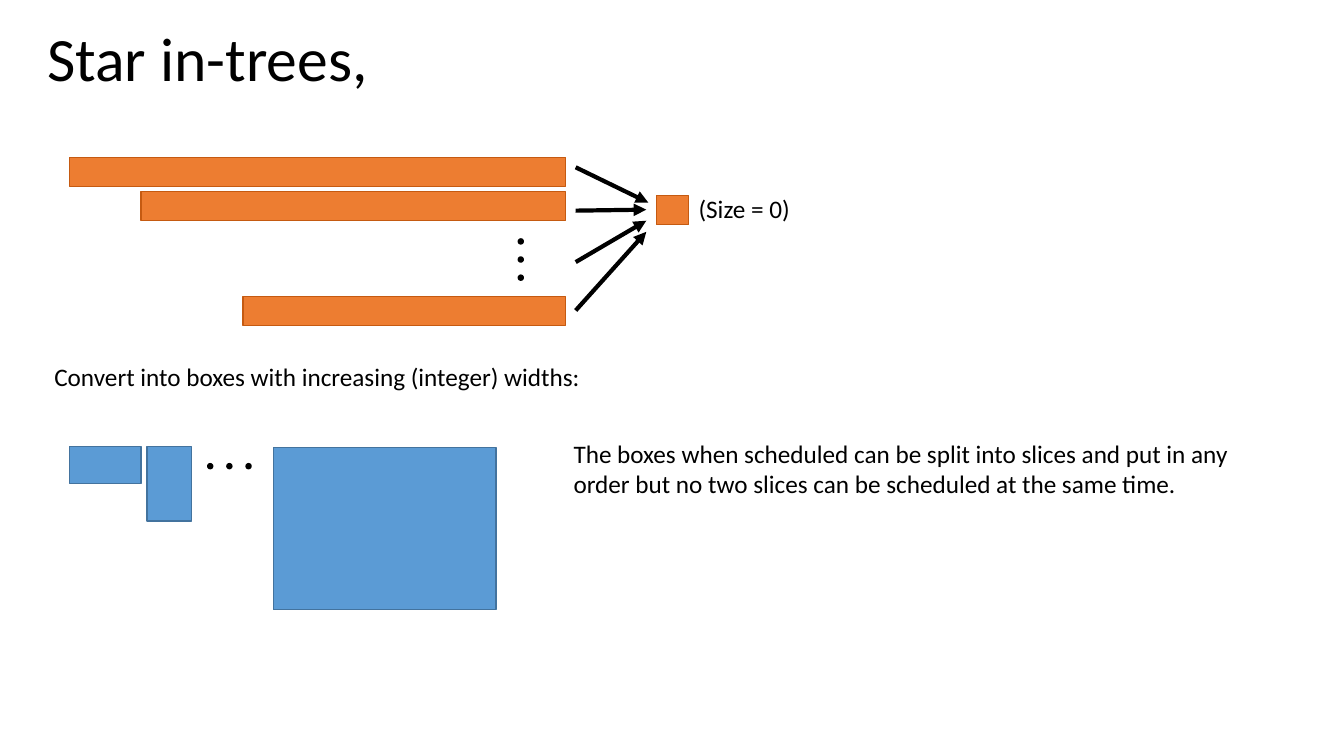
from dataclasses import dataclass

from lxml.etree import SubElement
from pptx import Presentation
from pptx.dml.color import RGBColor
from pptx.enum.shapes import MSO_CONNECTOR, MSO_SHAPE
from pptx.enum.text import MSO_AUTO_SIZE
from pptx.oxml.ns import qn
from pptx.util import Inches, Pt


@dataclass(frozen=True)
class Theme:
    font: str = "Calibri"
    title: int = 44
    body: int = 18
    black: str = "000000"
    orange: tuple = ("ED7D31", "C55A11")
    blue: tuple = ("5B9BD5", "43739E")
    outline: float = 1
    arrow: float = 3


THEME = Theme()
DOT = 0.05


def rgb(value):
    return RGBColor.from_string(value)


def add_block(s, x, y, w, h, colors, kind=MSO_SHAPE.RECTANGLE):
    sp = s.shapes.add_shape(kind, Inches(x), Inches(y), Inches(w), Inches(h))
    fill, line = colors
    sp.shadow.inherit = False
    sp.fill.solid()
    sp.fill.fore_color.rgb = rgb(fill)
    sp.line.color.rgb = rgb(line)
    sp.line.width = Pt(THEME.outline)


def add_dots(s, x, y, dx=0.0, dy=0.0):
    for i in range(3):
        add_block(s, x + i * dx, y + i * dy, DOT, DOT,
                  (THEME.black, THEME.black), MSO_SHAPE.OVAL)


def add_arrow(s, x1, y1, x2, y2):
    cxn = s.shapes.add_connector(MSO_CONNECTOR.STRAIGHT, Inches(x1), Inches(y1),
                                 Inches(x2), Inches(y2))
    cxn.line.color.rgb = rgb(THEME.black)
    cxn.line.width = Pt(THEME.arrow)
    SubElement(cxn.line._get_or_add_ln(), qn("a:tailEnd"), type="triangle")
    SubElement(cxn._element.spPr, qn("a:effectLst"))


def add_text(s, x, y, w, h, text, size=THEME.body, wrap=False):
    tf = s.shapes.add_textbox(Inches(x), Inches(y), Inches(w), Inches(h)).text_frame
    for name, value in {"word_wrap": wrap,
                        "auto_size": MSO_AUTO_SIZE.SHAPE_TO_FIT_TEXT}.items():
        setattr(tf, name, value)
    r = tf.paragraphs[0].add_run()
    r.text = text
    for name, value in {"name": THEME.font, "size": Pt(size)}.items():
        setattr(r.font, name, value)
    r.font.color.rgb = rgb(THEME.black)


def draw_tree(s, x, y, w):
    """Leaf bars share a right edge; arrows lead to the root."""
    right, bar_h = x + w, 0.29
    for dy, length in ((0, 4.92), (0.34, 4.21), (1.38, 3.2)):
        add_block(s, right - length, y + dy, length, bar_h, THEME.orange)
    add_dots(s, right - 0.47, y + 0.81, dy=0.18)

    # Root node and its label
    root_x = right + 0.9
    add_block(s, root_x, y + 0.38, 0.32, bar_h, THEME.orange)
    add_text(s, root_x + 0.32, y + 0.31, 1.12, 0.4, "(Size = 0)")

    # Arrows: start height, end offset from the bars, end height
    for y1, reach, y2 in ((0.1, 0.82, 0.45), (0.53, 0.8, 0.52),
                          (1.04, 0.8, 0.63), (1.52, 0.8, 0.74)):
        add_arrow(s, right + 0.1, y + y1, right + reach, y + y2)


def draw_boxes(s, x, y):
    """Boxes of growing height, with dots for those left out."""
    for dx, dy, w, h in ((0, 0, 0.71, 0.37), (0.77, 0, 0.44, 0.74),
                         (2.02, 0.01, 2.21, 1.61)):
        add_block(s, x + dx, y + dy, w, h, THEME.blue)
    add_dots(s, x + 1.37, y + 0.17, dx=0.19)


def main():
    prs = Presentation()
    prs.slide_width, prs.slide_height = Inches(13.33), Inches(7.5)
    s = prs.slides.add_slide(prs.slide_layouts[6])

    # Title and in-tree
    add_text(s, 0.37, 0.15, 3.42, 0.84, "Star in-trees,", THEME.title)
    draw_tree(s, 0.69, 1.56, 4.92)

    # Conversion into boxes
    add_text(s, 0.44, 3.54, 5.48, 0.4,
             "Convert into boxes with increasing (integer) widths:")
    draw_boxes(s, 0.69, 4.43)
    add_text(s, 5.59, 4.3, 7.06, 0.71,
             "The boxes when scheduled can be split into slices and put in any "
             "order but no two slices can be scheduled at the same time.",
             wrap=True)

    prs.save("out.pptx")


if __name__ == "__main__":
    main()
